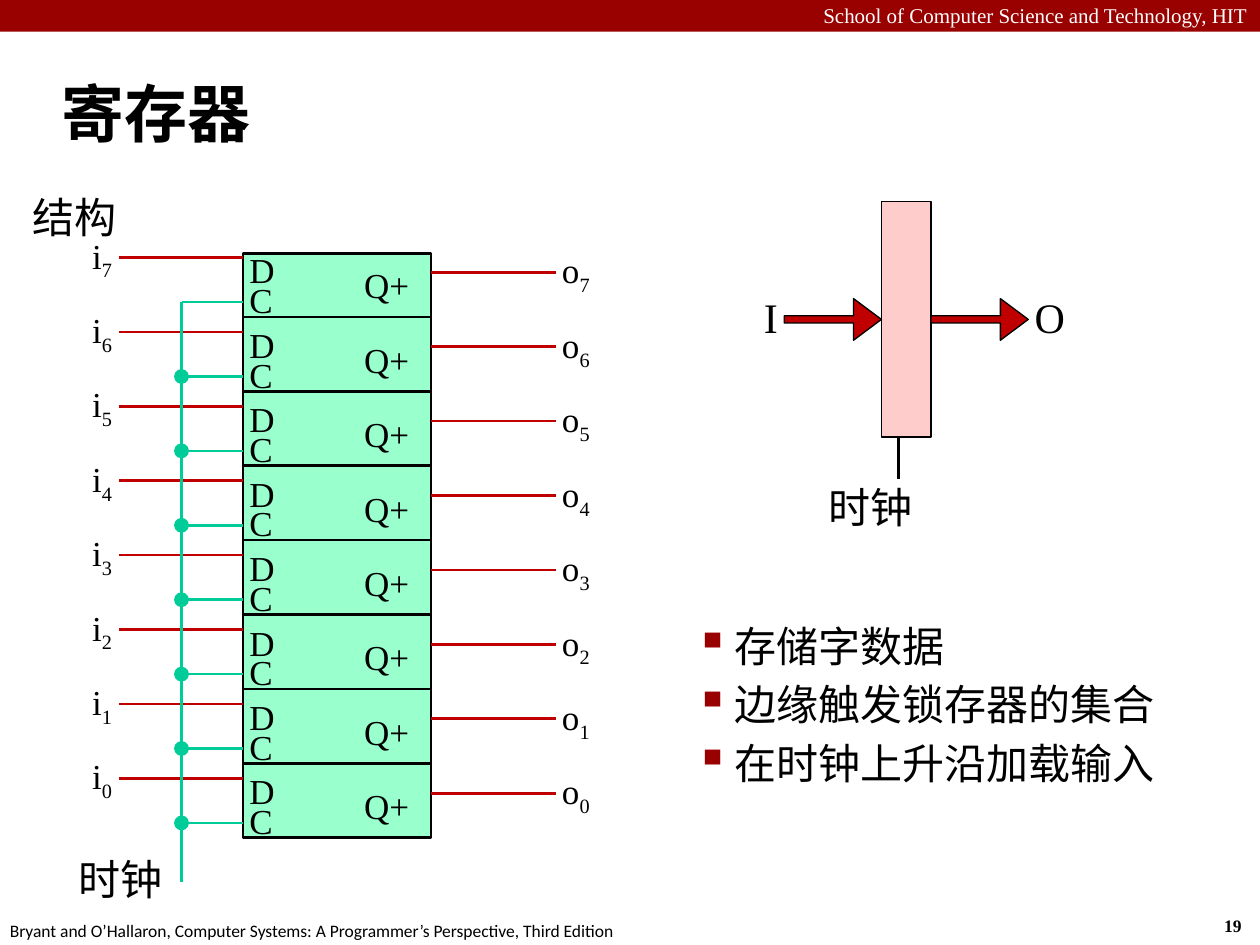
from lxml.etree import SubElement
from pptx import Presentation
from pptx.dml.color import RGBColor
from pptx.enum.shapes import MSO_CONNECTOR, MSO_SHAPE
from pptx.enum.text import MSO_ANCHOR, PP_ALIGN
from pptx.oxml.ns import qn
from pptx.util import Cm, Pt

COLORS = {
    "banner": "990000",
    "data": "C00000",
    "clock": "00CC99",
    "latch": "99FFCC",
    "register": "FFCCCC",
    "ink": "000000",
    "paper": "FFFFFF",
}
SERIF, SANS, CHINESE = "Times New Roman", "Calibri", "Noto Sans CJK SC"
LATCH_LEFT, LATCH_RIGHT = 4.9, 8.69
INPUT_X, OUTPUT_X, CLOCK_X = 2.39, 11.2, 3.66
FIRST_ROW, PITCH, BITS = 4.89, 1.5, 8


def color(name):
    """Return the named palette colour."""
    return RGBColor.from_string(COLORS[name])


def add_block(shapes, kind, left, top, width, height, fill, line=None):
    """Add a filled preset shape; line is a width in points."""
    block = shapes.add_shape(kind, Cm(left), Cm(top), Cm(width), Cm(height))
    block.shadow.inherit = False
    block.fill.solid()
    block.fill.fore_color.rgb = color(fill)
    if line:
        block.line.color.rgb = color("ink")
        block.line.width = Pt(line)
    else:
        block.line.fill.background()
    return block


def add_wire(shapes, start, end, ink):
    """Add a straight line between two points."""
    points = [Cm(value) for value in (*start, *end)]
    wire = shapes.add_connector(MSO_CONNECTOR.STRAIGHT, *points)
    wire.line.color.rgb = color(ink)
    wire.line.width = Pt(1.5)
    SubElement(wire._element.spPr, qn("a:effectLst"))


def add_span(para, text, font, size, ink="ink", bold=False):
    """Add one formatted run."""
    span = para.add_run()
    span.text = text
    span.font.name = font
    span.font.size = Pt(size)
    span.font.bold = bold
    span.font.color.rgb = color(ink)
    if font == CHINESE:
        SubElement(span._r.get_or_add_rPr(), qn("a:ea"), typeface=font)
    return span


def add_box(shapes, left, top, width, height, side=0.25):
    """Add an empty wrapping text box and return its text frame."""
    box = shapes.add_textbox(Cm(left), Cm(top), Cm(width), Cm(height))
    frame = box.text_frame
    frame.word_wrap = True
    frame.margin_left = frame.margin_right = Cm(side)
    frame.margin_top = frame.margin_bottom = Cm(0.13)
    return frame


def add_label(shapes, text, left, top, width, height, size,
              font=SERIF, align=PP_ALIGN.LEFT, subscript=None):
    """Add a diagram label with an optional subscript."""
    para = add_box(shapes, left, top, width, height, side=0.13).paragraphs[0]
    para.alignment = align
    add_span(para, text, font, size)
    if subscript is not None:
        span = add_span(para, str(subscript), font, size)
        span._r.get_or_add_rPr().set("baseline", "-25000")


def set_indent(para, margin, indent):
    """Set left margin and first-line indent, and return the properties."""
    props = para._p.get_or_add_pPr()
    props.set("marL", str(Cm(margin)))
    props.set("indent", str(Cm(indent)))
    return props


def add_frame(page):
    """Add the banner, page number, footer and title."""
    shapes = page.shapes
    add_block(shapes, MSO_SHAPE.RECTANGLE, 0, 0, 25.4, 0.64, "banner")
    para = add_box(shapes, 0, -0.07, 25.4, 0.77).paragraphs[0]
    para.alignment = PP_ALIGN.RIGHT
    add_span(para, "School of Computer Science and Technology, HIT", SERIF, 12, "paper")
    para = add_box(shapes, 24.43, 18.31, 0.95, 0.68).paragraphs[0]
    add_span(para, "19", SERIF, 10, bold=True)
    para = add_box(shapes, -0.05, 18.42, 12.9, 0.68).paragraphs[0]
    add_span(para, "Bryant and O’Hallaron, Computer Systems: "
                   "A Programmer’s Perspective, Third Edition", SANS, 10)
    frame = add_box(shapes, 1, 1.22, 24.4, 2.1)
    frame.vertical_anchor = MSO_ANCHOR.MIDDLE
    set_indent(frame.paragraphs[0], 0.33, -0.33)
    add_span(frame.paragraphs[0], "寄存器", "Arial Narrow", 36, bold=True)


def add_symbol(page):
    """Add the register symbol with its input, output and clock."""
    shapes = page.shapes.add_group_shape().shapes
    add_block(shapes, MSO_SHAPE.RECTANGLE, 17.77, 4.06, 1, 4.75, "register", 0.75)
    for left in (15.81, 18.77):
        arrow = add_block(shapes, MSO_SHAPE.RIGHT_ARROW, left, 6.02, 1.96, 0.84, "data", 0.75)
        arrow.adjustments[0] = 0.17
        arrow.adjustments[1] = 0.67
    add_label(shapes, "I", 13.85, 5.74, 1.96, 1.25, 24, align=PP_ALIGN.RIGHT)
    add_label(shapes, "O", 20.73, 5.74, 1.96, 1.25, 24)
    add_wire(shapes, (18.11, 8.81), (18.11, 9.65), "ink")
    add_label(shapes, "时钟", 16.57, 9.58, 3.07, 1.25, 24, CHINESE)


def add_latch(shapes, bit, row):
    """Add the latch of one bit with its wires and labels."""
    top = row + 0.22 if bit == BITS - 1 else row
    add_block(shapes, MSO_SHAPE.RECTANGLE, LATCH_LEFT, top, LATCH_RIGHT - LATCH_LEFT,
              row + PITCH - top, "latch", 1.5)
    add_wire(shapes, (LATCH_LEFT, row + 0.3), (INPUT_X, row + 0.3), "data")
    add_wire(shapes, (OUTPUT_X, row + 0.6), (LATCH_RIGHT, row + 0.6), "data")
    add_label(shapes, "D", LATCH_LEFT, row, 0.94, 0.89, 20)
    add_label(shapes, "C", LATCH_LEFT, row + 0.6, 0.94, 0.89, 20)
    add_label(shapes, "Q+", 7.11, row + 0.3, 1.27, 0.89, 20, align=PP_ALIGN.RIGHT)
    add_label(shapes, "i", 0.51, row - 0.3, 1.88, 1.35, 20,
              align=PP_ALIGN.RIGHT, subscript=bit)
    add_label(shapes, "o", OUTPUT_X, row, 1.88, 1.35, 20, subscript=bit)


def add_structure(page):
    """Add the stack of latches driven by a shared clock."""
    shapes = page.shapes.add_group_shape().shapes
    rows = [FIRST_ROW + PITCH * index for index in range(BITS)]
    for index, row in enumerate(rows):
        add_latch(shapes, BITS - 1 - index, row)
        add_wire(shapes, (LATCH_LEFT, row + 1.2), (CLOCK_X, row + 1.2), "clock")
    add_wire(shapes, (CLOCK_X, rows[0] + 1.2), (CLOCK_X, 17.78), "clock")
    for row in rows[1:]:
        add_block(shapes, MSO_SHAPE.OVAL, CLOCK_X - 0.15, row + 1.05, 0.3, 0.3, "clock")
    add_label(shapes, "时钟", 1.45, 17.07, 2.95, 1.35, 24, CHINESE)
    add_label(page.shapes, "结构", 0.53, 3.73, 4.78, 1.25, 24, CHINESE)


def add_bullets(page, lines):
    """Add the bulleted notes."""
    frame = add_box(page.shapes, 12.5, 12.37, 12.09, 4.37)
    for index, line in enumerate(lines):
        para = frame.add_paragraph() if index else frame.paragraphs[0]
        para.level = 1
        para.space_before = Pt(4.8)
        props = set_indent(para, 2.06, -0.79)
        SubElement(SubElement(props, qn("a:buClr")), qn("a:srgbClr"), val=COLORS["banner"])
        SubElement(props, qn("a:buSzPct"), val="110000")
        SubElement(props, qn("a:buChar"), char="▪")
        add_span(para, line, SANS, 24)


def main():
    """Build the slide and save it."""
    deck = Presentation()
    deck.slide_width, deck.slide_height = Cm(25.4), Cm(19.05)
    page = deck.slides.add_slide(deck.slide_layouts[6])
    add_frame(page)
    add_symbol(page)
    add_structure(page)
    add_bullets(page, ["存储字数据", "边缘触发锁存器的集合", "在时钟上升沿加载输入"])
    deck.save("out.pptx")


if __name__ == "__main__":
    main()
